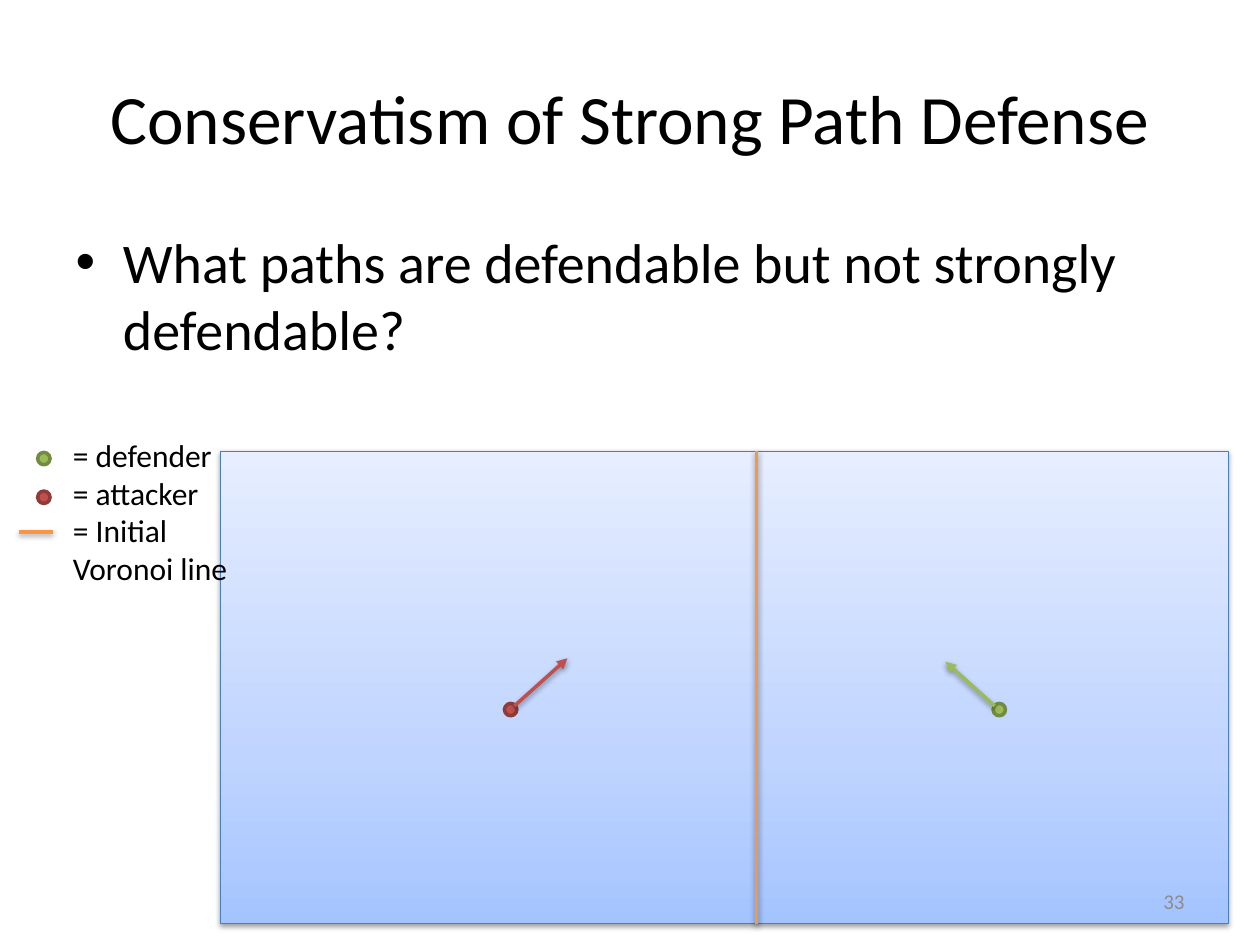
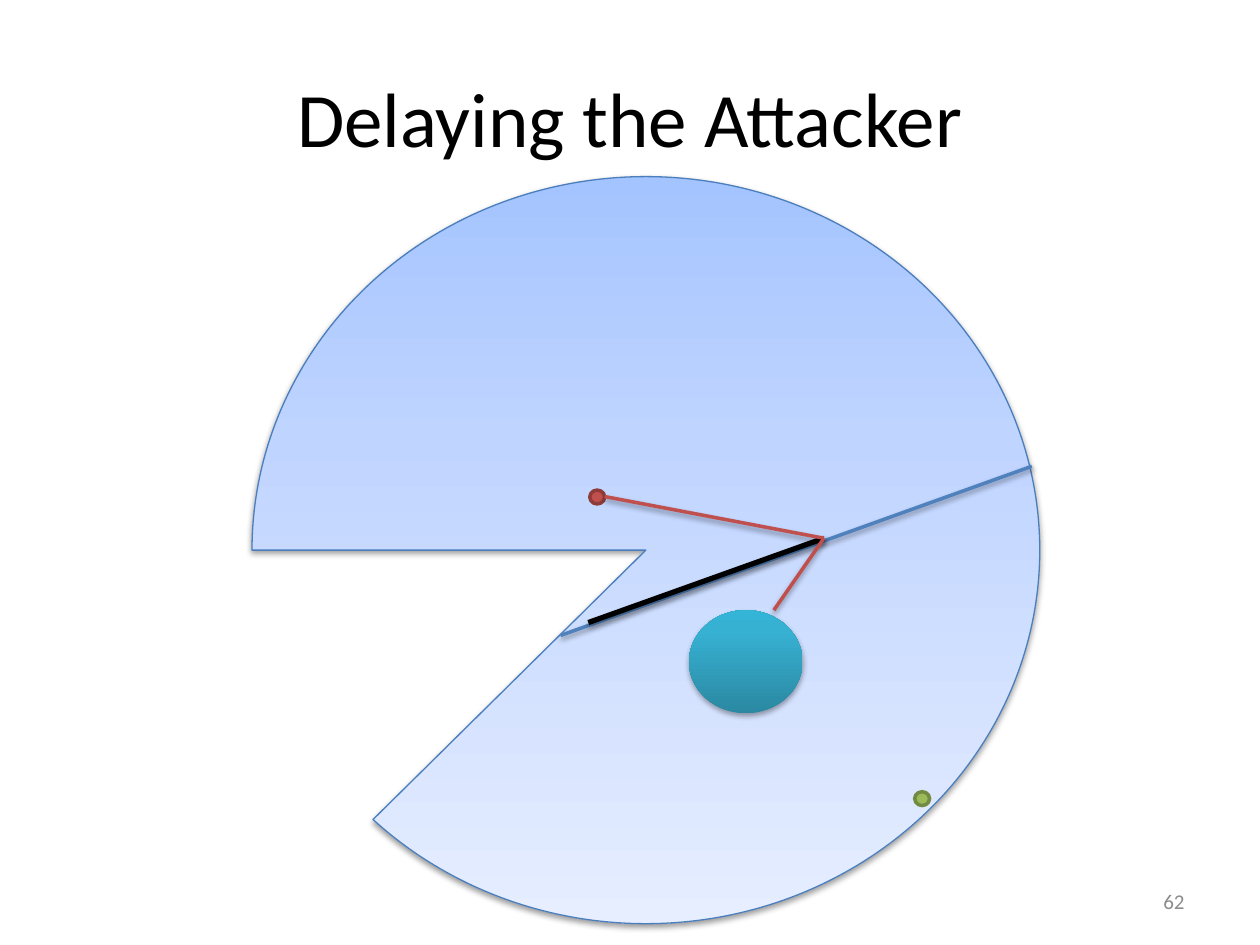
import pptx
import pptx.util
import pptx.dml.color
import pptx.enum.shapes
import pptx.enum.text
import pptx.oxml
import pptx.oxml.ns

Cm, Pt = pptx.util.Cm, pptx.util.Pt
KIND = pptx.enum.shapes.MSO_SHAPE
ALIGN = pptx.enum.text.PP_ALIGN
MID = pptx.enum.text.MSO_ANCHOR.MIDDLE
qn = pptx.oxml.ns.qn

# Shared colours: fill and edge of each player, gradients as (percent, hex)
GREEN = ("9BBB59", "738A42")
RED = ("C0504D", "8E3B39")
ORANGE, BLUE, BLACK, GREY = "F79646", "4F81BD", "000000", "8C8C8C"
EDGE = "4B7EBC"
SKY = [(0, "A4C4FF"), (35, "BFD4FF"), (100, "E6EEFF")]
TEAL = [(0, "2A88A2"), (80, "37B1D2"), (100, "34B4D6")]
SOFT = {"dist": 20000, "alpha": 38000}
DEEP = {"dist": 23000, "alpha": 35000}


def color(code):
    return pptx.dml.color.RGBColor.from_string(code)


def style(item, **form):
    for key, value in form.items():
        setattr(item, key, value)


def write(frame, lines, size, code=BLACK, align=ALIGN.LEFT):
    """Fill a text frame, one paragraph for each line."""
    frame.text = "\n".join(lines)
    for para in frame.paragraphs:
        style(para, alignment=align, space_before=Pt(0))
        style(para.font, name="Calibri", size=Pt(size))
        para.font.color.rgb = color(code)


def node(tag, body="", **attrs):
    text = "".join(f' {key}="{value}"' for key, value in attrs.items())
    return pptx.oxml.parse_xml(
        f'<a:{tag} {pptx.oxml.ns.nsdecls("a")}{text}>{body}</a:{tag}>')


def shade(item, cast):
    """Give a shape or connector its shadow, or none."""
    body = ""
    if cast:
        body = (f'<a:outerShdw blurRad="40000" dist="{cast["dist"]}" '
                'dir="5400000" rotWithShape="0"><a:srgbClr val="000000">'
                f'<a:alpha val="{cast["alpha"]}"/></a:srgbClr></a:outerShdw>')
    item._element.spPr.append(node("effectLst", body))


def form(slide, kind, box, at, size, fill, edge=None, width=0.75, cast=None):
    """Place a preset shape in a box; a list as fill is a gradient."""
    item = slide.shapes.add_shape(
        kind, Cm(box[0] + at[0]), Cm(box[1] + at[1]), Cm(size[0]), Cm(size[1]))
    if isinstance(fill, list):
        item.fill.gradient()
        item.fill.gradient_angle = 90
        stops = item._element.spPr.find(".//" + qn("a:gsLst"))
        stops.clear()
        for pos, code in fill:
            stops.append(node("gs", f'<a:srgbClr val="{code}"/>',
                              pos=pos * 1000))
    else:
        item.fill.solid()
        item.fill.fore_color.rgb = color(fill)
    if edge:
        item.line.color.rgb = color(edge)
        item.line.width = Pt(width)
    else:
        item.line.fill.background()
    shade(item, cast)
    return item


def dot(slide, box, at, hue, size=(0.25, 0.25)):
    form(slide, KIND.OVAL, box, at, size, *hue, width=2)


def link(slide, box, start, end, code, width=2, head=False, cast=SOFT):
    x, y = box[:2]
    item = slide.shapes.add_connector(
        pptx.enum.shapes.MSO_CONNECTOR.STRAIGHT,
        Cm(x + start[0]), Cm(y + start[1]), Cm(x + end[0]), Cm(y + end[1]))
    item.line.color.rgb = color(code)
    item.line.width = Pt(width)
    if head:
        item.line._get_or_add_ln().append(node("tailEnd", type="arrow"
                                               if head == "open" else "triangle"))
    shade(item, cast)


def label(slide, box, lines, size, code=BLACK, align=ALIGN.LEFT, **frame):
    item = slide.shapes.add_textbox(*map(Cm, box))
    style(item.text_frame, word_wrap=True, **frame)
    write(item.text_frame, lines, size, code, align)


def start(deck, layout, title, size):
    slide = deck.slides.add_slide(deck.slide_layouts.get_by_name(layout))
    head = slide.shapes.title
    style(head, left=Cm(1.27), top=Cm(0.76), width=Cm(22.86), height=Cm(3.18))
    head.text_frame.vertical_anchor = MID
    write(head.text_frame, [title], size, align=ALIGN.CENTER)
    return slide


def number(slide, text):
    label(slide, (18.2, 17.65, 5.93, 1.02), [text], 12, GREY, ALIGN.RIGHT,
          vertical_anchor=MID)


# Field with both players and the line between them
def field(slide, box):
    high = box[3]
    form(slide, KIND.RECTANGLE, box, (0, 0), box[2:], SKY, EDGE, cast=SOFT)
    dot(slide, box, (15.57, 5.08), GREEN)
    dot(slide, box, (5.72, 5.08), RED)
    link(slide, box, (10.8, 0), (10.8, high), ORANGE)
    link(slide, box, (5.92, 5.13), (6.99, 4.17), RED[0], head=True)
    link(slide, box, (15.6, 5.13), (14.61, 4.24), GREEN[0], head=True)


# Key to the symbols
def legend(slide, box):
    x, y, wide, high = box
    label(slide, (x + 0.84, y, wide - 0.84, high),
          ["= defender", "= attacker", "= Initial Voronoi line"], 18)
    for top, hue in ((0.46, GREEN), (1.24, RED)):
        dot(slide, box, (0.38, top), hue)
    link(slide, box, (0, 2.06), (0.69, 2.06), ORANGE)


# Open disc with the attacker's detour
def disc(slide, box):
    pie = form(slide, KIND.PIE, box, (0, 0), box[2:], SKY, EDGE, cast=SOFT)
    pie.rotation = 180
    pie.adjustments[0] = 0
    pie.adjustments[1] = 189.22
    size = (0.3, 0.28)
    dot(slide, box, (13.36, 12.4), GREEN, size)
    dot(slide, box, (6.81, 6.32), RED, size)
    turn = (11.53, 7.29)
    link(slide, box, (6.22, 9.25), (15.72, 5.84), BLUE)
    form(slide, KIND.OVAL, box, (8.81, 8.74), (2.29, 2.08), TEAL, cast=DEEP)
    link(slide, box, (6.78, 8.99), turn, BLACK, 3, cast=DEEP)
    link(slide, box, (7.11, 6.45), turn, RED[0])
    link(slide, box, turn, (10.52, 8.74), RED[0])


def paths(deck):
    slide = start(deck, "Title and Content",
                  "Conservatism of Strong Path Defense", 39.6)
    body = slide.placeholders[1]
    style(body, left=Cm(1.27), top=Cm(4.45), width=Cm(22.86), height=Cm(3.6))
    write(body.text_frame,
          ["What paths are defendable but not strongly defendable?"], 32)
    field(slide, (4.45, 9.1, 20.32, 9.52))
    legend(slide, (0.38, 8.66, 5.03, 3.33))
    number(slide, "33")


def delay(deck):
    slide = start(deck, "Title Only", "Delaying the Attacker", 44)
    disc(slide, (5.08, 3.56, 15.88, 15.06))
    number(slide, "62")


def main():
    deck = pptx.Presentation()
    style(deck, slide_width=Cm(25.4), slide_height=Cm(19.05))
    paths(deck)
    delay(deck)
    deck.save("out.pptx")


if __name__ == "__main__":
    main()
